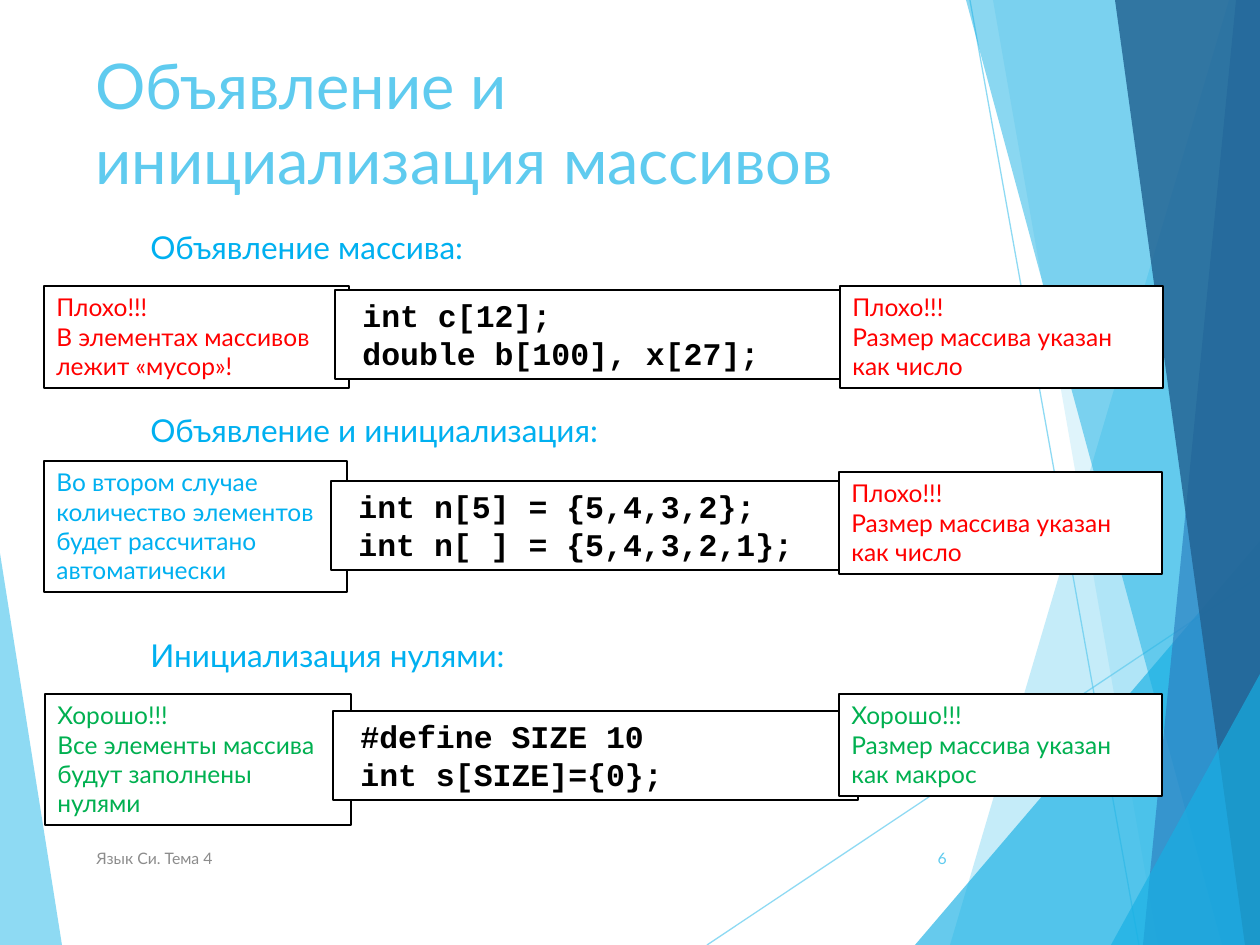
from lxml.etree import SubElement
from pptx import Presentation
from pptx.dml.color import RGBColor
from pptx.enum.shapes import MSO_CONNECTOR as CONN, MSO_SHAPE as SHAPE
from pptx.enum.text import MSO_ANCHOR as ANCHOR, MSO_AUTO_SIZE as FIT, PP_ALIGN as ALIGN
from pptx.oxml.ns import qn
from pptx.util import Emu, Pt

PX = 914400 / 126
COLORS = {
    "white": "FFFFFF", "black": "000000", "bad": "FF0000", "good": "00B050",
    "note": "00B0F0", "sky": "5FCBEF", "cyan": "17B0E4", "blue": "2E83C3",
    "navy": "226292", "gray": "8C8C8C",
}
FACETS = [
    ([(0, 553), (62, 945), (0, 945)], "sky", 70),
    ([(1229, 0), (950, 945), (1260, 945), (1260, 0)], "sky", 36),
    ([(993, 0), (1158, 945), (1260, 945), (1260, 0)], "sky", 20),
    ([(915, 945), (1260, 541), (1260, 945)], "cyan", 66),
    ([(966, 0), (1222, 945), (1260, 945), (1260, 0)], "cyan", 50),
    ([(1236, 0), (1143, 945), (1260, 945), (1260, 0)], "blue", 70),
    ([(1115, 0), (1245, 945), (1260, 945), (1260, 0)], "navy", 82),
    ([(1111, 945), (1260, 674), (1260, 945)], "cyan", 66),
]
RAYS = [(707, 945, 1260, 576), (970, 0, 1139, 945)]
HEADINGS = [("Объявление массива:", 0), ("Объявление и инициализация:", 83),
            ("Инициализация нулями:", 107)]
NOTES = [
    ((44, 286, 305, 102), "bad", ["Плохо!!!", "В элементах массивов лежит «мусор»!"]),
    ((44, 461, 303, 131), "note",
     ["Во втором случае количество элементов будет рассчитано автоматически"]),
    ((45, 694, 306, 131), "good",
     ["Хорошо!!!", "Все элементы массива будут заполнены нулями"]),
    ((840, 286, 323, 102), "bad", ["Плохо!!!", "Размер массива указан как число"]),
    ((839, 472, 323, 102), "bad", ["Плохо!!!", "Размер массива указан как число"]),
    ((839, 694, 323, 102), "good", ["Хорошо!!!", "Размер массива указан как макрос"]),
]
CODES = [
    ((335, 290, 525, 89), ["int c[12];", "double b[100], x[27];"]),
    ((331, 481, 525, 89), ["int n[5] = {5,4,3,2};", "int n[ ] = {5,4,3,2,1};"]),
    ((333, 711, 525, 89), ["#define SIZE 10", "int s[SIZE]={0};"]),
]


def px(n):
    """Turn pixels into EMU."""
    return Emu(round(n * PX))


def rgb(name):
    """Look up a named colour."""
    return RGBColor.from_string(COLORS[name])


def set_alpha(sp, percent):
    """Set the opacity of the first colour of a shape."""
    color = next(sp._element.spPr.iter(qn("a:srgbClr")))
    SubElement(color, qn("a:alpha")).set("val", str(percent * 1000))


def add_facet(slide, points, color, alpha):
    """Draw one translucent polygon of the backdrop."""
    builder = slide.shapes.build_freeform(*points[0], scale=PX)
    builder.add_line_segments(points[1:], close=True)
    sp = builder.convert_to_shape()
    sp.shadow.inherit = False
    sp.fill.solid()
    sp.fill.fore_color.rgb = rgb(color)
    sp.line.fill.background()
    set_alpha(sp, alpha)


def add_ray(slide, ends):
    """Draw one thin line of the backdrop."""
    line = slide.shapes.add_connector(CONN.STRAIGHT, *map(px, ends))
    line.line.color.rgb = rgb("sky")
    line.line.width = Pt(0.75)
    set_alpha(line, 70)
    SubElement(line._element.spPr, qn("a:effectLst"))


def write(tf, lines, size, color, font="Lato", bold=False, indent=0,
          align=ALIGN.LEFT, anchor=ANCHOR.TOP):
    """Fill a text frame with (text, space before) paragraphs."""
    tf.word_wrap = True
    tf.vertical_anchor = anchor
    for i, (text, before) in enumerate(lines):
        p = tf.add_paragraph() if i else tf.paragraphs[0]
        p.alignment = align
        if before:
            p.space_before = Pt(before)
        if indent:
            p._p.get_or_add_pPr().set("marL", str(px(indent)))
        r = p.add_run()
        r.text = text
        r.font.name = font
        r.font.size = Pt(size)
        r.font.bold = bold
        r.font.color.rgb = rgb(color)


def add_text(slide, box, lines, size, color, **style):
    """Add a plain text box."""
    sp = slide.shapes.add_textbox(*map(px, box))
    write(sp.text_frame, lines, size, color, **style)


def add_card(slide, box, texts, size, color, **style):
    """Add a white outlined box with text."""
    sp = slide.shapes.add_shape(SHAPE.RECTANGLE, *map(px, box))
    sp.shadow.inherit = False
    sp.fill.solid()
    sp.fill.fore_color.rgb = rgb("white")
    sp.line.color.rgb = rgb("black")
    sp.line.width = Pt(0.75)
    write(sp.text_frame, [(text, 0) for text in texts], size, color, **style)
    sp.text_frame.auto_size = FIT.SHAPE_TO_FIT_TEXT


def add_notes(slide, notes):
    """Add the remarks beside the code."""
    for box, color, texts in notes:
        add_card(slide, box, texts, 14, color)


def main():
    """Build the slide."""
    prs = Presentation()
    prs.slide_width, prs.slide_height = px(1260), px(945)
    slide = prs.slides.add_slide(prs.slide_layouts[6])
    add_facet(slide, *FACETS[0])
    for ends in RAYS:
        add_ray(slide, ends)
    for facet in FACETS[1:]:
        add_facet(slide, *facet)
    add_text(slide, (83, 40, 874, 181),
             [("Объявление и инициализация массивов", 0)], 36, "sky")
    add_text(slide, (123, 222, 863, 611), HEADINGS, 18, "note", indent=15)
    add_text(slide, (888, 833, 71, 50), [("6", 0)], 9, "sky",
             align=ALIGN.RIGHT, anchor=ANCHOR.MIDDLE)
    add_text(slide, (84, 833, 638, 50), [("Язык Си. Тема 4", 0)], 9, "gray",
             anchor=ANCHOR.MIDDLE)
    add_notes(slide, NOTES[:3])
    for box, texts in CODES:
        add_card(slide, box, texts, 18, "black", font="Courier New", bold=True, indent=15)
    add_notes(slide, NOTES[3:])
    prs.save("out.pptx")


if __name__ == "__main__":
    main()
